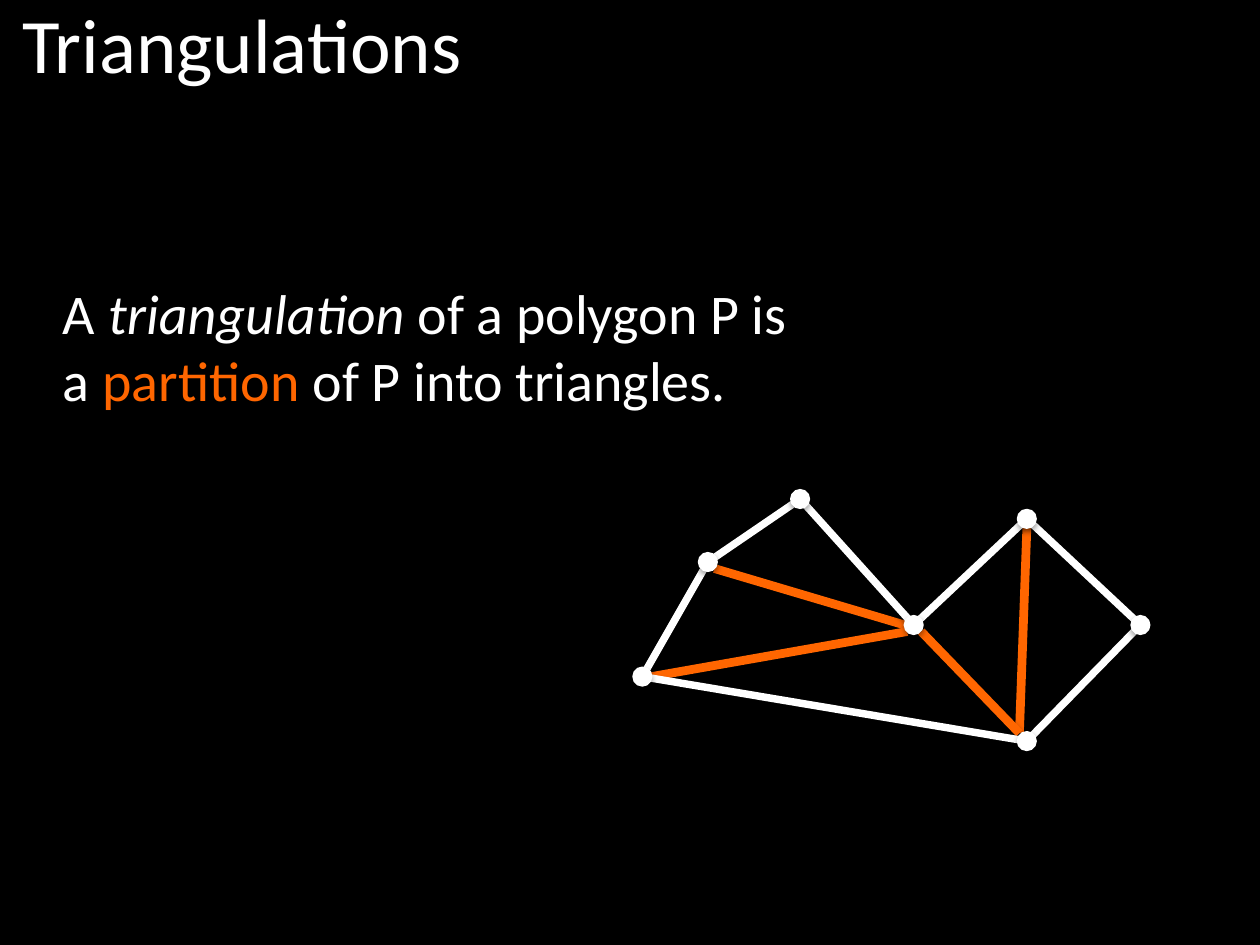
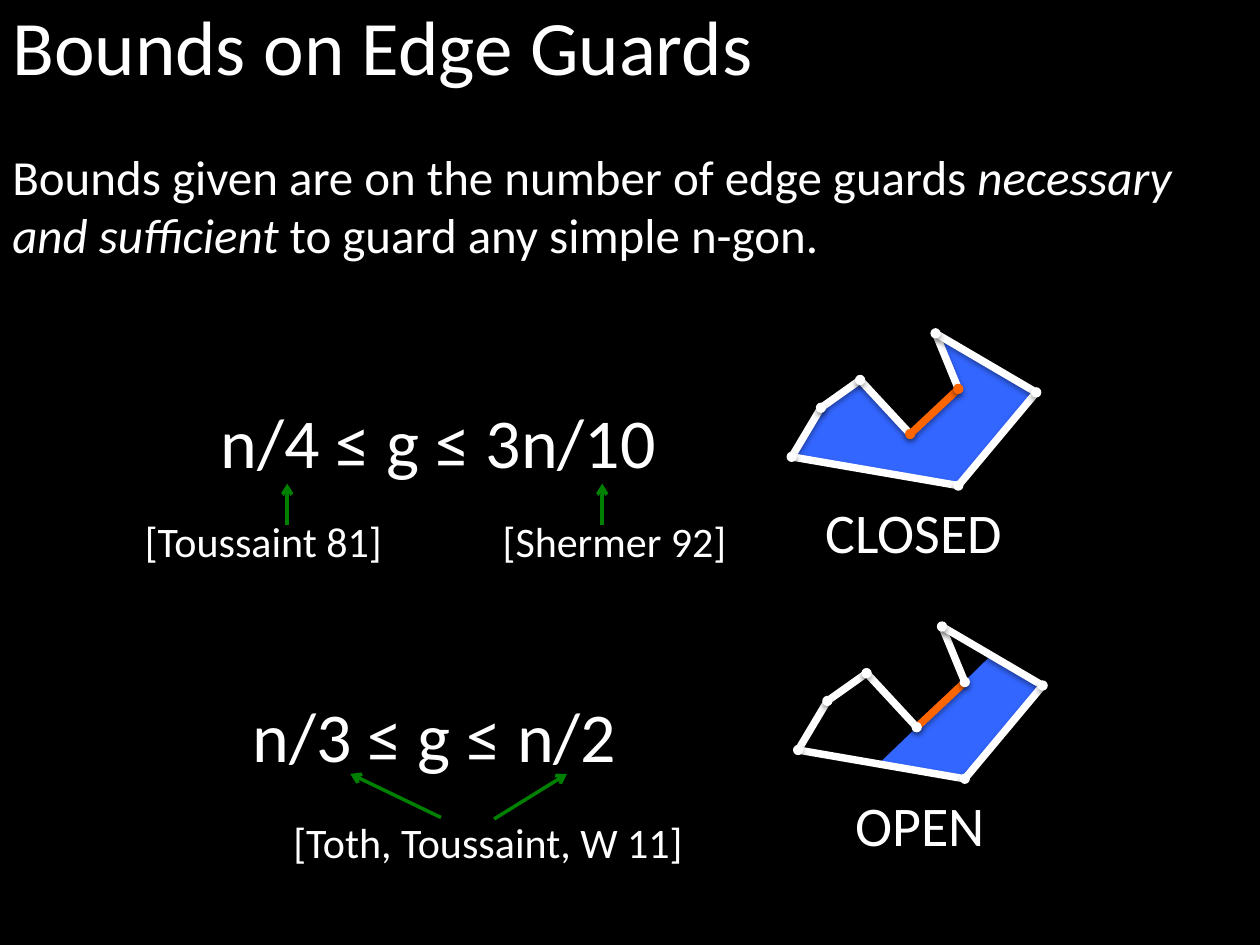
"""Build two slides on polygon triangulations and edge guard bounds."""
from dataclasses import dataclass
from lxml.etree import SubElement as Sub
from pptx import Presentation
from pptx.dml.color import RGBColor as Rgb
from pptx.enum.shapes import MSO_CONNECTOR as Conn, MSO_SHAPE as Form
from pptx.enum.text import PP_ALIGN as Align
from pptx.oxml.ns import qn
from pptx.util import Cm, Pt


@dataclass(frozen=True)
class Theme:
    font: str = "Calibri"
    back: Rgb = Rgb(0, 0, 0)
    ink: Rgb = Rgb(255, 255, 255)
    hot: Rgb = Rgb(0xFF, 0x66, 0)
    area: Rgb = Rgb(0x33, 0x66, 0xFF)
    arrow: Rgb = Rgb(0, 0x80, 0)
    title: int = 44
    bound: int = 40
    big: int = 32
    body: int = 28
    cite: int = 24
    edge: float = 4.25
    cut: float = 5
    thin: float = 0.75
    tip: float = 2


T = Theme()

TITLES = [("Triangulations", 0.2, -0.19), ("Bounds on Edge Guards", 0, -0.15)]
MEANING = [[("A ", ""), ("triangulation", "i"), (" of a polygon P is a ", ""),
            ("partition ", "hot"), ("of P into triangles.", "")]]
INTRO = [[("Bounds given are on the number of edge guards ", ""), ("necessary", "i")],
         [("and sufficient", "i"), (" to guard any simple n-gon.", "")]]

POLYGON = [(12.95, 13.64), (14.27, 11.33), (16.13, 10.06), (18.42, 12.6),
           (20.7, 10.46), (22.99, 12.6), (20.7, 14.94)]
CUTS = [((14.4, 11.46), (18.24, 12.6)), ((13.13, 13.64), (18.29, 12.73)),
        ((20.55, 14.78), (20.7, 10.64)), ((20.55, 14.78), (18.57, 12.73))]

ROOM = [(15.96, 9.21), (16.55, 8.22), (17.34, 7.66), (18.35, 8.75),
        (19.32, 7.84), (18.86, 6.72), (20.89, 7.91), (19.32, 9.79)]
GUARD = 3
SEEN = [ROOM[4], (17.62, 9.47), ROOM[7], ROOM[6], (19.86, 7.31)]
CASES = [
    {"name": "CLOSED", "shift": (0, 0), "seen": ROOM, "ends": {3, 4}},
    {"name": "OPEN", "shift": (0.13, 5.91), "seen": SEEN, "ends": set()},
]
BOUNDS = [("n/4 ≤ g ≤ 3n/10", 8.84, 7.9), ("n/3 ≤ g ≤ n/2", 8.76, 13.84)]
CITES = [("[Toussaint 81]", 5.31, 10.26), ("[Shermer 92]", 12.39, 10.26),
         ("[Toth, Toussaint, W 11]", 9.84, 16.33)]
ARROWS = [((5.79, 10.59), (5.79, 9.75)), ((12.14, 10.59), (12.14, 9.75)),
          ((9.96, 16.51), (11.43, 15.6)), ((8.89, 16.48), (7.06, 15.6))]


def shade(shape, alpha, gap):
    """Give a shape a soft black shadow straight below it."""
    box = Sub(shape._element.spPr, qn("a:effectLst"))
    drop = Sub(box, qn("a:outerShdw"), blurRad="40000", dist=str(gap),
               dir="5400000", rotWithShape="0")
    tone = Sub(drop, qn("a:srgbClr"), val=str(T.back))
    Sub(tone, qn("a:alpha"), val=str(alpha * 1000))


def paint(shape, color):
    """Fill and outline a shape in one colour."""
    shape.fill.solid()
    shape.fill.fore_color.rgb = color
    shape.line.color.rgb = color
    shape.line.width = Pt(T.thin)
    shade(shape, 35, 23000)


def line(slide, start, end, color, width, tip=False):
    """Draw a straight line, with an arrowhead at its end if asked."""
    link = slide.shapes.add_connector(Conn.STRAIGHT, *map(Cm, start + end))
    link.line.color.rgb = color
    link.line.width = Pt(width)
    if tip:
        Sub(link.line._get_or_add_ln(), qn("a:tailEnd"), type="arrow")
    shade(link, 38, 20000)


def ring(slide, spots, size, hot_edge=None, hot_dots=()):
    """Draw a closed outline with a dot on each corner."""
    for i, spot in enumerate(spots):
        color = T.hot if i == hot_edge else T.ink
        line(slide, spot, spots[(i + 1) % len(spots)], color, T.edge)
    for i, (x, y) in enumerate(spots):
        dot = slide.shapes.add_shape(Form.OVAL, Cm(x - size / 2), Cm(y - size / 2),
                                     Cm(size), Cm(size))
        paint(dot, T.hot if i in hot_dots else T.ink)


def region(slide, spots):
    """Draw the filled area that a guard sees."""
    first, *rest = [(Cm(x), Cm(y)) for x, y in spots]
    pen = slide.shapes.build_freeform(*first)
    pen.add_line_segments(rest, close=True)
    paint(pen.convert_to_shape(), T.area)


def write(slide, paras, size, left, top, wide, high, align=Align.LEFT):
    """Add a text box; each paragraph is a list of (text, style)."""
    frame = slide.shapes.add_textbox(*map(Cm, (left, top, wide, high))).text_frame
    frame.word_wrap = True
    for i, parts in enumerate(paras):
        para = frame.add_paragraph() if i else frame.paragraphs[0]
        para.alignment = align
        para.font.name, para.font.size = T.font, Pt(size)
        for text, style in parts:
            run = para.add_run()
            run.text = text
            run.font.color.rgb = T.hot if style == "hot" else T.ink
            if style == "i":
                run.font.italic = True


def label(slide, text, size, mid, top, wide, high):
    """Add one line of text centred on mid."""
    write(slide, [[(text, "")]], size, mid - wide / 2, top, wide, high, Align.CENTER)


def start(deck, title, left, top):
    """Add a black slide with its title."""
    slide = deck.slides.add_slide(deck.slide_layouts[6])
    slide.background.fill.solid()
    slide.background.fill.fore_color.rgb = T.back
    write(slide, [[(title, "")]], T.title, left, top, 23.65, 2.13)
    return slide


def split(deck):
    """Build the slide on triangulations."""
    slide = start(deck, *TITLES[0])
    for cut in CUTS:
        line(slide, *cut, T.hot, T.cut)
    write(slide, MEANING, T.big, 1.02, 5.49, 15.65, 3)
    ring(slide, POLYGON, 0.38)


def guards(deck):
    """Build the slide on edge guard bounds."""
    slide = start(deck, *TITLES[1])
    write(slide, INTRO, T.body, 0, 2.82, 25.4, 2.64)
    for case in CASES:
        dx, dy = case["shift"]
        room, seen = ([(x + dx, y + dy) for x, y in spots]
                      for spots in (ROOM, case["seen"]))
        region(slide, seen)
        ring(slide, room, 0.18, GUARD, case["ends"])
        label(slide, case["name"], T.big, 18.42 + dx, 9.91 + dy, 5.1, 1.63)
    for text, mid, top in BOUNDS:
        label(slide, text, T.bound, mid, top, 10.57, 3.68)
    for text, mid, top in CITES:
        label(slide, text, T.cite, mid, top, 8.51 if "," in text else 6.55, 1.27)
    for arrow in ARROWS:
        line(slide, *arrow, T.arrow, T.tip, tip=True)


def main():
    """Build and save the deck."""
    deck = Presentation()
    deck.slide_width, deck.slide_height = Cm(25.4), Cm(19.05)
    split(deck)
    guards(deck)
    deck.save("out.pptx")


if __name__ == "__main__":
    main()
